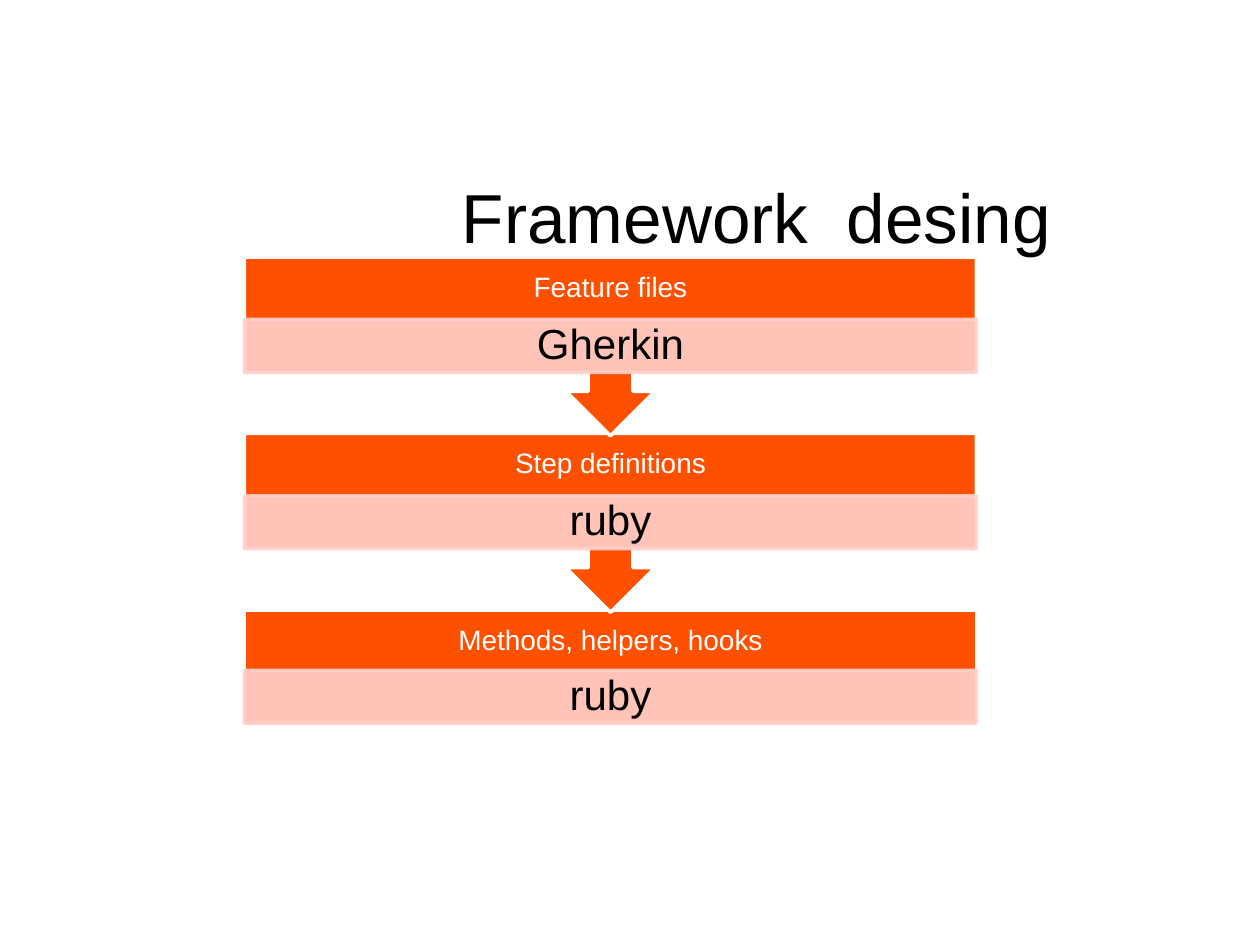
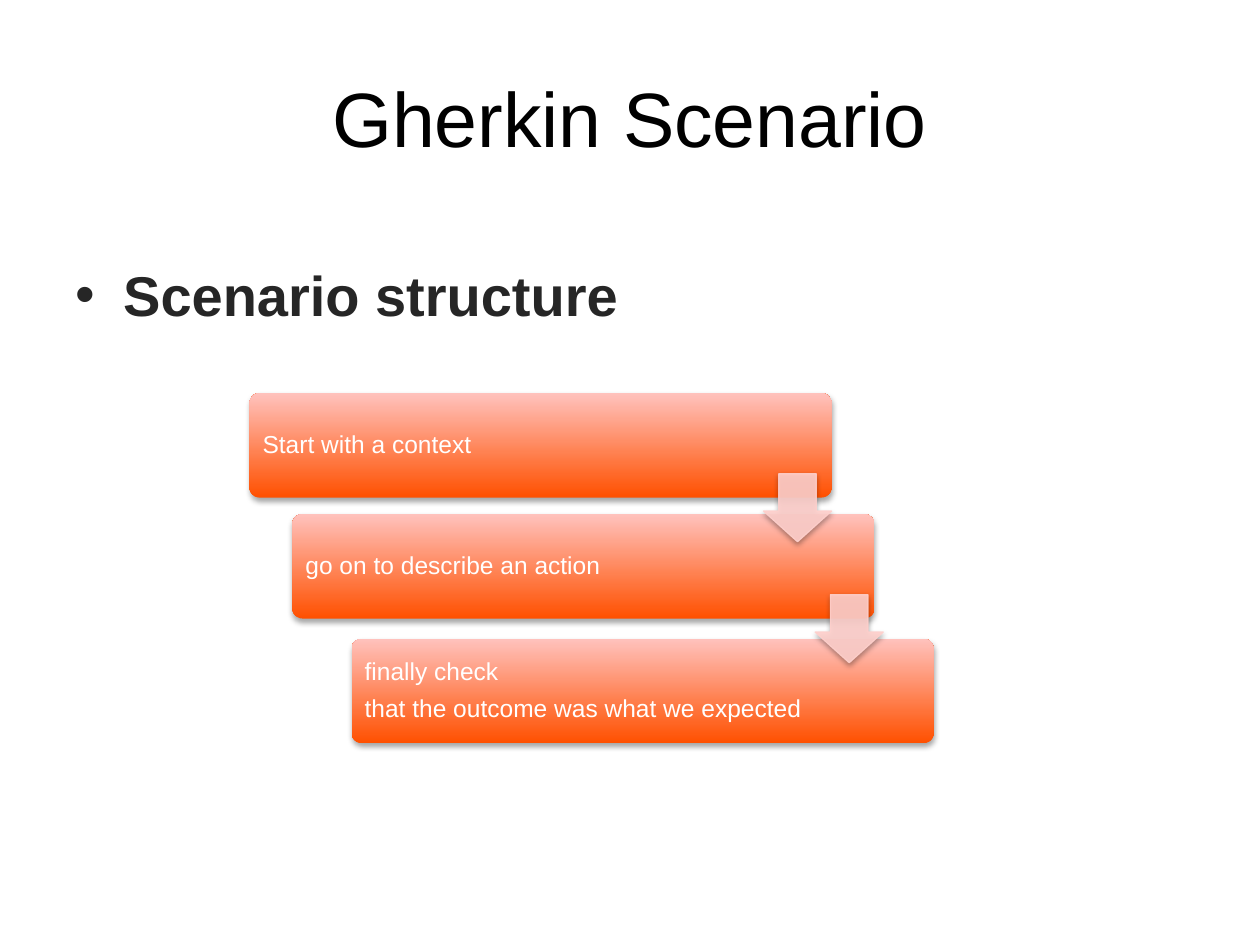
from dataclasses import dataclass

from lxml import etree
from pptx import Presentation
from pptx.dml.color import RGBColor
from pptx.enum.shapes import MSO_SHAPE
from pptx.enum.text import MSO_ANCHOR, PP_ALIGN
from pptx.oxml.ns import qn
from pptx.shapes.autoshape import Shape
from pptx.slide import Slide
from pptx.util import Inches, Pt

FONT = "Arial"
BLACK = RGBColor(0x00, 0x00, 0x00)
WHITE = RGBColor(0xFF, 0xFF, 0xFF)
DARK_GREY = RGBColor(0x26, 0x26, 0x26)
ORANGE = RGBColor(0xFF, 0x50, 0x00)
PINK = RGBColor(0xFF, 0xC2, 0xBD)
PALE_PINK = RGBColor(0xFF, 0xD0, 0xCC)

CENTER, LEFT = PP_ALIGN.CENTER, PP_ALIGN.LEFT
MIDDLE, TOP = MSO_ANCHOR.MIDDLE, MSO_ANCHOR.TOP
RECTANGLE = MSO_SHAPE.RECTANGLE
ROUNDED_RECTANGLE = MSO_SHAPE.ROUNDED_RECTANGLE
ARROW_CALLOUT = MSO_SHAPE.UP_ARROW_CALLOUT
DOWN_ARROW = MSO_SHAPE.DOWN_ARROW


@dataclass(frozen=True)
class Box:
    left: float
    top: float
    width: float
    height: float

    def lengths(self) -> tuple[int, int, int, int]:
        return (Inches(self.left), Inches(self.top),
                Inches(self.width), Inches(self.height))


@dataclass(frozen=True)
class TextStyle:
    size: float
    color: RGBColor
    align: PP_ALIGN = CENTER
    anchor: MSO_ANCHOR = MIDDLE
    inset_x: float = 0.1
    inset_y: float = 0.05
    line_spacing: float = 1.0
    space_before: float = 0
    space_after: float = 0
    bold: bool = False


@dataclass(frozen=True)
class Layer:
    label: str
    language: str


@dataclass(frozen=True)
class Step:
    left: float
    top: float
    text: str


LAYER_LABEL = TextStyle(16, WHITE, inset_x=0.12, inset_y=0.12,
                        line_spacing=0.9, space_after=5.6)
LAYER_LANGUAGE = TextStyle(24, BLACK, inset_x=0.19, inset_y=0.03,
                           line_spacing=0.9, space_after=8.4)
STEP_TEXT = TextStyle(14, WHITE, LEFT, inset_x=0.08, inset_y=0.08,
                      line_spacing=0.9, space_after=5.6)
BULLET_TEXT = TextStyle(32, DARK_GREY, LEFT, TOP, line_spacing=1.5,
                        space_before=6.4, bold=True)

LAYERS = [
    Layer("Feature files", "Gherkin"),
    Layer("Step definitions", "ruby"),
    Layer("Methods, helpers, hooks", "ruby"),
]
LAYER_LEFT, LAYER_TOP, LAYER_WIDTH, LAYER_PITCH = 1.94, 2.04, 5.81, 1.4
CALLOUT_HEIGHT, LAST_LAYER_HEIGHT = 1.42, 0.92
LABEL_HEIGHT, LANGUAGE_HEIGHT = 0.5, 0.42

STEPS = [
    Step(1.98, 3.12, "Start with a context"),
    Step(2.32, 4.08, "go on to describe an action"),
    Step(2.79, 5.07,
         "finally check\nthat the outcome was what we expected"),
]
STEP_WIDTH, STEP_HEIGHT = 4.62, 0.83
STEP_ARROWS = [Box(6.06, 3.76, 0.54, 0.54), Box(6.47, 4.72, 0.54, 0.54)]


def write_text(shape: Shape, text: str, style: TextStyle) -> None:
    frame = shape.text_frame
    frame.word_wrap = True
    frame.vertical_anchor = style.anchor
    frame.margin_left = frame.margin_right = Inches(style.inset_x)
    frame.margin_top = frame.margin_bottom = Inches(style.inset_y)
    frame.text = text
    for paragraph in frame.paragraphs:
        paragraph.alignment = style.align
        paragraph.line_spacing = style.line_spacing
        paragraph.space_before = Pt(style.space_before)
        paragraph.space_after = Pt(style.space_after)
        for run in paragraph.runs:
            run.font.name = FONT
            run.font.size = Pt(style.size)
            run.font.bold = style.bold
            run.font.color.rgb = style.color


def add_text(slide: Slide, box: Box, text: str, style: TextStyle) -> Shape:
    shape = slide.shapes.add_textbox(*box.lengths())
    write_text(shape, text, style)
    return shape


def add_title(slide: Slide, box: Box, text: str, size: float) -> None:
    add_text(slide, box, text, TextStyle(size, BLACK))


def add_filled_shape(slide: Slide, kind: MSO_SHAPE, box: Box, fill: RGBColor,
                     line: RGBColor, line_width: float) -> Shape:
    shape = slide.shapes.add_shape(kind, *box.lengths())
    shape.shadow.inherit = False
    shape.fill.solid()
    shape.fill.fore_color.rgb = fill
    shape.line.color.rgb = line
    shape.line.width = Pt(line_width)
    return shape


def add_translucent_shape(slide: Slide, kind: MSO_SHAPE, box: Box,
                          line_width: float) -> Shape:
    """Add a pale pink shape whose fill and line are 90 % opaque."""
    shape = add_filled_shape(slide, kind, box, PALE_PINK, PALE_PINK, line_width)
    for color in shape._element.spPr.iter(qn("a:srgbClr")):
        etree.SubElement(color, qn("a:alpha"), val="90000")
    return shape


def add_soft_shadow(shape: Shape) -> None:
    shape.shadow.inherit = False
    effects = shape._element.spPr.find(qn("a:effectLst"))
    shadow = etree.SubElement(
        effects, qn("a:outerShdw"), blurRad=str(Pt(3.1)), dist=str(Pt(1.8)),
        dir="5400000", rotWithShape="0")
    color = etree.SubElement(shadow, qn("a:srgbClr"), val="000000")
    etree.SubElement(color, qn("a:alpha"), val="35000")


def add_bullet(shape: Shape, indent: float) -> None:
    for paragraph in shape.text_frame.paragraphs:
        properties = paragraph._p.get_or_add_pPr()
        properties.set("marL", str(Inches(indent)))
        properties.set("indent", str(-Inches(indent)))
        etree.SubElement(properties, qn("a:buFont"), typeface=FONT)
        etree.SubElement(properties, qn("a:buChar"), char="•")


def add_layer(slide: Slide, layer: Layer, top: float, is_last: bool) -> None:
    """Draw a layer; all but the last point down to the next one."""
    kind = RECTANGLE if is_last else ARROW_CALLOUT
    height = LAST_LAYER_HEIGHT if is_last else CALLOUT_HEIGHT
    block = add_filled_shape(
        slide, kind, Box(LAYER_LEFT, top, LAYER_WIDTH, height),
        ORANGE, WHITE, 2)
    block.rotation = 0 if is_last else 180
    add_text(slide, Box(LAYER_LEFT, top, LAYER_WIDTH, LABEL_HEIGHT),
             layer.label, LAYER_LABEL)
    language_top = top + (0.48 if is_last else 0.495)
    band = add_translucent_shape(
        slide, RECTANGLE,
        Box(LAYER_LEFT, language_top, LAYER_WIDTH, LANGUAGE_HEIGHT), 2)
    write_text(band, layer.language, LAYER_LANGUAGE)


def add_step(slide: Slide, step: Step) -> None:
    box = Box(step.left, step.top, STEP_WIDTH, STEP_HEIGHT)
    card = slide.shapes.add_shape(ROUNDED_RECTANGLE, *box.lengths())
    card.adjustments[0] = 0.1
    card.fill.gradient()
    card.fill.gradient_angle = 90
    for stop, color in zip(card.fill.gradient_stops, (ORANGE, PINK)):
        stop.color.rgb = color
    card.line.fill.background()
    add_soft_shadow(card)
    write_text(card, step.text, STEP_TEXT)


def add_step_arrow(slide: Slide, box: Box) -> None:
    arrow = add_translucent_shape(slide, DOWN_ARROW, box, 0.75)
    arrow.adjustments[0] = 0.55
    arrow.adjustments[1] = 0.45
    add_soft_shadow(arrow)


def build_framework_slide(slide: Slide) -> None:
    add_title(slide, Box(2.34, 1.37, 7.33, 0.69), "Framework  desing", 39.6)
    last = len(LAYERS) - 1
    for index, layer in reversed(list(enumerate(LAYERS))):
        add_layer(slide, layer, LAYER_TOP + index * LAYER_PITCH, index == last)


def build_scenario_slide(slide: Slide) -> None:
    add_title(slide, Box(0.5, 0.3, 9, 1.25), "Gherkin Scenario", 44)
    body = add_text(slide, Box(0.5, 1.75, 9, 4.95), "Scenario structure",
                    BULLET_TEXT)
    add_bullet(body, 0.38)
    for step in STEPS:
        add_step(slide, step)
    for box in STEP_ARROWS:
        add_step_arrow(slide, box)


def main() -> None:
    presentation = Presentation()
    presentation.slide_width = Inches(10)
    presentation.slide_height = Inches(7.5)
    blank_layout = presentation.slide_layouts[6]
    for build in (build_framework_slide, build_scenario_slide):
        build(presentation.slides.add_slide(blank_layout))
    presentation.save("out.pptx")


if __name__ == "__main__":
    main()
